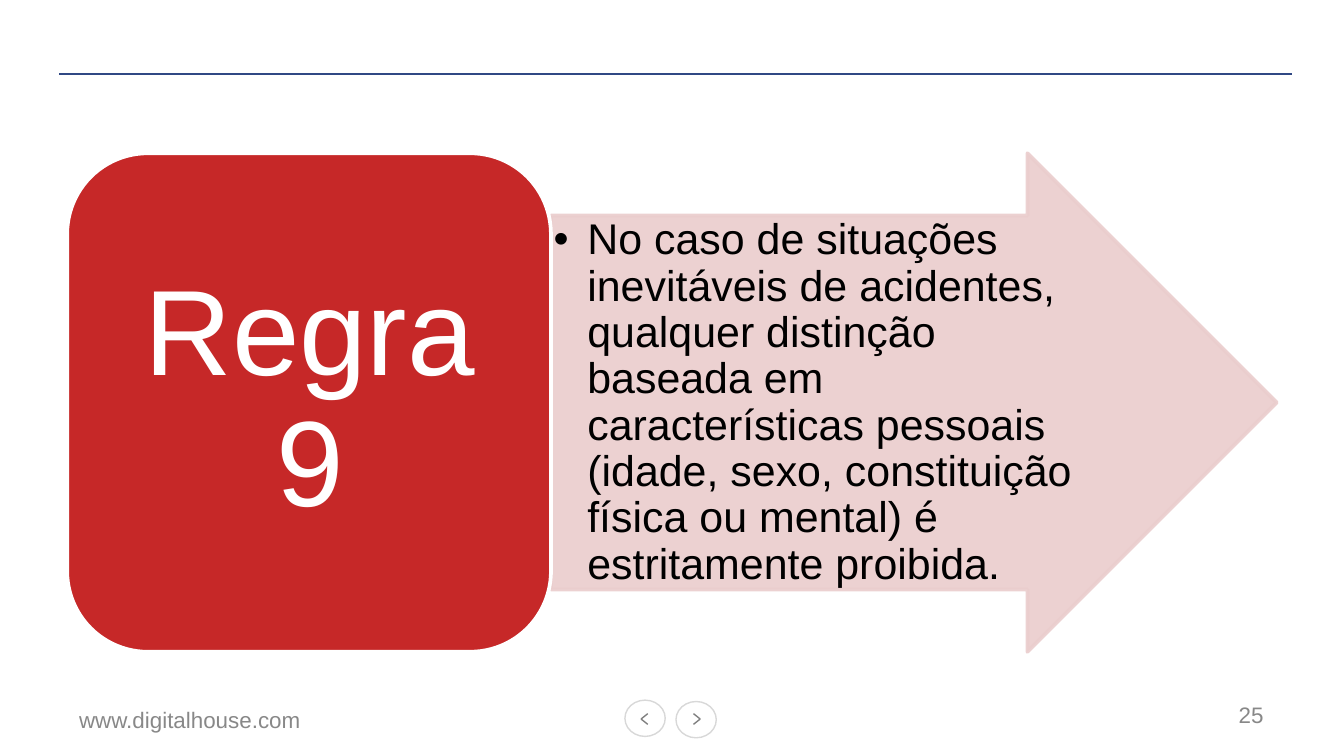
from lxml import etree
from pptx import Presentation
from pptx import util as u
from pptx.dml.color import RGBColor
from pptx.enum import shapes, text
from pptx.oxml.ns import qn

COLORS = {
    "rule": "304884",
    "grey": "888888",
    "ring": "D8D8D8",
    "chevron": "7F7F7F",
    "pink": "EACDCD",
    "red": "C62828",
    "white": "FFFFFF",
    "black": "000000",
}


class SlideBuilder:
    font = "Arial"

    def __init__(self, slide):
        self.s = slide

    def color(self, name):
        return RGBColor.from_string(COLORS[name])

    def set_alpha(self, fill_parent, percent):
        for clr in fill_parent.iter(qn("a:srgbClr")):
            etree.SubElement(clr, qn("a:alpha")).set("val", str(percent * 1000))

    def line(self, x1, y1, x2, y2, color):
        sp = self.s.shapes.add_connector(
            shapes.MSO_CONNECTOR.STRAIGHT, *map(u.Inches, (x1, y1, x2, y2)))
        sp.line.color.rgb = self.color(color)
        sp.line.width = u.Pt(0.75)
        etree.SubElement(sp._element.spPr, qn("a:effectLst"))

    def shape(self, kind, box, fill, line, width, adjustments=(), alpha=None):
        sp = self.s.shapes.add_shape(kind, *map(u.Inches, box))
        sp.shadow.inherit = False
        sp.fill.solid()
        sp.fill.fore_color.rgb = self.color(fill)
        sp.line.color.rgb = self.color(line)
        sp.line.width = u.Pt(width)
        for i, value in enumerate(adjustments):
            sp.adjustments[i] = value
        if alpha:
            self.set_alpha(sp._element.spPr, alpha)

    def text(self, box, words, size, color, align=text.PP_ALIGN.LEFT,
             anchor=text.MSO_ANCHOR.MIDDLE, inset=(0.1, 0.05), spacing=None,
             bullet=False):
        tf = self.s.shapes.add_textbox(*map(u.Inches, box)).text_frame
        tf.word_wrap = True
        tf.vertical_anchor = anchor
        tf.margin_left = tf.margin_right = u.Inches(inset[0])
        tf.margin_top = tf.margin_bottom = u.Inches(inset[1])
        tf.text = words
        p = tf.paragraphs[0]
        if bullet:
            self.bullet(p, color)
        p.alignment = align
        if spacing:
            p.line_spacing = spacing
        r = p.runs[0]
        r.font.name = self.font
        r.font.size = u.Pt(size)
        r.font.color.rgb = self.color(color)

    def bullet(self, p, color):
        pPr = p._p.get_or_add_pPr()
        pPr.set("marL", str(u.Inches(0.25)))
        pPr.set("indent", str(-u.Inches(0.25)))
        clr = etree.SubElement(pPr, qn("a:buClr"))
        etree.SubElement(clr, qn("a:srgbClr")).set("val", COLORS[color])
        etree.SubElement(pPr, qn("a:buFont")).set("typeface", self.font)
        etree.SubElement(pPr, qn("a:buChar")).set("char", "•")
        p.level = 1

    def nav_button(self, left, top, tip, arm):
        self.shape(shapes.MSO_SHAPE.OVAL, (left, top, 0.3, 0.27),
                   "white", "ring", 0.75)
        for dy in (-0.04, 0.04):
            self.line(tip, 5.35, arm, 5.35 + dy, "chevron")


def main():
    prs = Presentation()
    prs.slide_width = u.Inches(10)
    prs.slide_height = prs.slide_width * 9 // 16
    b = SlideBuilder(prs.slides.add_slide(prs.slide_layouts[6]))

    b.line(9.61, 0.55, 0.44, 0.55, "rule")
    b.text((0.49, 5.22, 2.33, 0.27), "www.digitalhouse.com", 12, "grey")
    b.nav_button(4.65, 5.21, tip=4.77, arm=4.82)
    b.nav_button(5.03, 5.22, tip=5.21, arm=5.16)

    b.shape(shapes.MSO_SHAPE.RIGHT_ARROW, (4.1, 1.14, 5.4, 3.71),
            "pink", "pink", 2, adjustments=(0.75, 0.5), alpha=90)
    b.text((4.1, 1.6, 4.01, 2.78),
           "No caso de situações inevitáveis de acidentes, qualquer distinção "
           "baseada em características pessoais (idade, sexo, constituição "
           "física ou mental) é estritamente proibida.",
           23, "black", anchor=text.MSO_ANCHOR.TOP, inset=(0.02, 0.02),
           spacing=0.9, bullet=True)

    b.shape(shapes.MSO_SHAPE.ROUNDED_RECTANGLE, (0.5, 1.14, 3.6, 3.71),
            "red", "white", 2)
    b.text((0.68, 1.31, 3.25, 3.36), "Regra 9", 65, "white",
           align=text.PP_ALIGN.CENTER, inset=(0.27, 0.14), spacing=0.9)

    b.text((7.17, 5.17, 2.33, 0.3), "25", 12, "grey",
           align=text.PP_ALIGN.RIGHT)

    prs.save("out.pptx")


if __name__ == "__main__":
    main()
